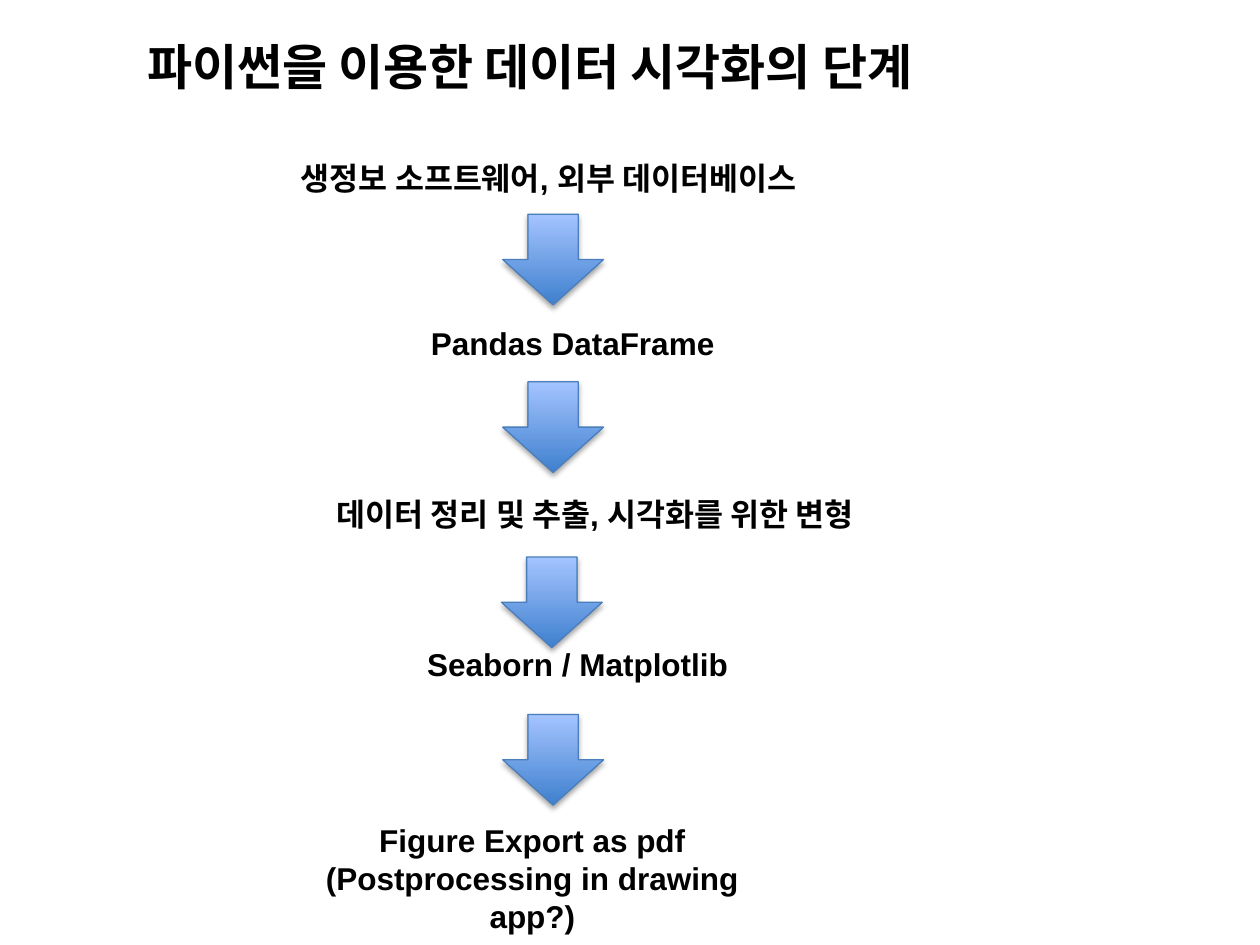
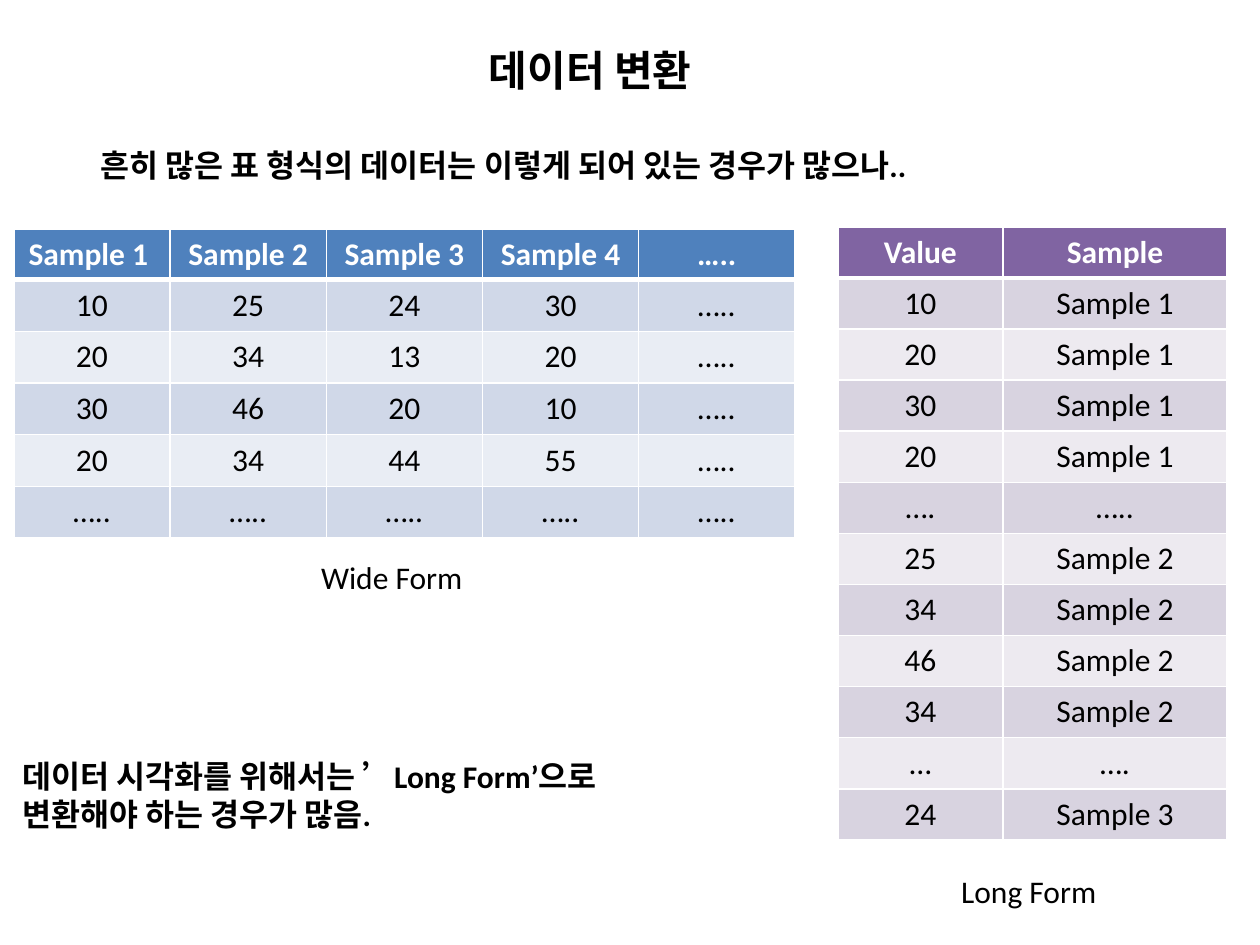
import lxml.etree
import pptx
import pptx.dml.color
import pptx.enum.shapes
import pptx.enum.text
import pptx.oxml.ns
import pptx.util

Inches = pptx.util.Inches
Pt = pptx.util.Pt
RGBColor = pptx.dml.color.RGBColor
ALIGN = pptx.enum.text.PP_ALIGN
qn = pptx.oxml.ns.qn

BLACK = RGBColor(0x00, 0x00, 0x00)
WHITE = RGBColor(0xFF, 0xFF, 0xFF)
ARROW_DARK = RGBColor(0x3F, 0x80, 0xCE)
ARROW_LIGHT = RGBColor(0xA4, 0xC4, 0xFF)
ARROW_LINE = RGBColor(0x4B, 0x7E, 0xBC)
# Header, odd row and even row fills
BLUE_ROWS = (RGBColor(0x4F, 0x81, 0xBD), RGBColor(0xD0, 0xD8, 0xE8), RGBColor(0xE9, 0xED, 0xF4))
PURPLE_ROWS = (RGBColor(0x80, 0x64, 0xA2), RGBColor(0xD8, 0xD3, 0xE0), RGBColor(0xED, 0xEA, 0xF0))


def write(tf, text, font="Calibri", size=18, color=BLACK, bold=False, align=ALIGN.LEFT):
    """Fill a text frame, one paragraph per line of text."""
    for i, line in enumerate(text.split("\n")):
        p = tf.paragraphs[0] if i == 0 else tf.add_paragraph()
        p.alignment = align
        r = p.add_run()
        r.text = line
        r.font.name = font
        r.font.size = Pt(size)
        r.font.color.rgb = color
        r.font.bold = bold


def add_border(cell, side, width):
    ln = lxml.etree.SubElement(cell._tc.get_or_add_tcPr(), qn(f"a:ln{side}"), w=str(Pt(width)))
    fill = lxml.etree.SubElement(ln, qn("a:solidFill"))
    lxml.etree.SubElement(fill, qn("a:srgbClr"), val=str(WHITE))


class Deck:
    def __init__(self, prs):
        self.prs = prs
        self.s = None
        self.font = None

    def new_slide(self, title, left, top, width, height, size, font):
        self.font = font
        self.s = self.prs.slides.add_slide(self.prs.slide_layouts[5])
        sp = self.s.shapes.title
        sp.left, sp.top, sp.width, sp.height = map(Inches, (left, top, width, height))
        self.fit_text(sp.text_frame, title, size=size, bold=True)

    def fit_text(self, tf, text, **fmt):
        tf.word_wrap = False
        tf.auto_size = pptx.enum.text.MSO_AUTO_SIZE.SHAPE_TO_FIT_TEXT
        tf.vertical_anchor = pptx.enum.text.MSO_ANCHOR.TOP
        write(tf, text, font=self.font, **fmt)

    def text(self, text, left, top, width, height=0.4, **fmt):
        sp = self.s.shapes.add_textbox(*map(Inches, (left, top, width, height)))
        self.fit_text(sp.text_frame, text, **fmt)

    def down_arrow(self, left, top):
        sp = self.s.shapes.add_shape(pptx.enum.shapes.MSO_SHAPE.DOWN_ARROW,
                                     *map(Inches, (left, top, 0.8, 0.72)))
        sp.fill.gradient()
        sp.fill.gradient_angle = 90
        for stop, color in zip(sp.fill.gradient_stops, (ARROW_DARK, ARROW_LIGHT)):
            stop.color.rgb = color
        sp.line.color.rgb = ARROW_LINE
        sp.line.width = Pt(0.75)
        sp.shadow.inherit = False
        effects = sp._element.spPr.find(qn("a:effectLst"))
        shadow = lxml.etree.SubElement(effects, qn("a:outerShdw"), blurRad=str(Pt(3.1)),
                                       dist=str(Pt(1.8)), dir="5400000", rotWithShape="0")
        color = lxml.etree.SubElement(shadow, qn("a:srgbClr"), val=str(BLACK))
        lxml.etree.SubElement(color, qn("a:alpha"), val="35000")

    def table(self, rows, left, top, col_widths, row_heights, fills):
        box = (left, top, sum(col_widths), sum(row_heights))
        table = self.s.shapes.add_table(len(rows), len(col_widths), *map(Inches, box)).table
        for col, width in zip(table.columns, col_widths):
            col.width = Inches(width)
        for i, (row, height) in enumerate(zip(rows, row_heights)):
            table.rows[i].height = Inches(height)
            header = i == 0
            fill = fills[0] if header else fills[2 - i % 2]
            widths = {"L": 1, "R": 1, "T": 3 if i == 1 else 1, "B": 3 if header else 1}
            for j, value in enumerate(row):
                cell = table.cell(i, j)
                for side, width in widths.items():
                    add_border(cell, side, width)
                cell.fill.solid()
                cell.fill.fore_color.rgb = fill
                write(cell.text_frame, value, font=self.font, bold=header,
                      color=WHITE if header else BLACK, align=ALIGN.CENTER)


def build_steps(deck):
    deck.new_slide("파이썬을 이용한 데이터 시각화의 단계", 1.07, 0.24, 7.03, 0.57, size=28, font="Arial")
    steps = [
        ("생정보 소프트웨어, 외부 데이터베이스", 2.06, 1.21, 4.59, 0.4),
        ("Pandas DataFrame", 3.31, 2.52, 2.47, 0.4),
        ("데이터 정리 및 추출, 시각화를 위한 변형", 2.29, 3.88, 4.87, 0.4),
        ("Seaborn / Matplotlib", 3.28, 5.07, 2.61, 0.4),
        ("Figure Export as pdf\n(Postprocessing in drawing app?)", 2.18, 6.47, 4.09, 0.71),
    ]
    for step in steps:
        deck.text(*step, bold=True, align=ALIGN.CENTER)
    for left, top in ((3.99, 1.7), (3.99, 3.03), (3.98, 4.42), (3.99, 5.67)):
        deck.down_arrow(left, top)


def build_forms(deck):
    deck.new_slide("데이터 변환", 3.78, 0.3, 2.04, 0.5, size=24, font="Calibri")
    deck.text("흔히 많은 표 형식의 데이터는 이렇게 되어 있는 경우가 많으나..", 0.7, 1.11, 7.16, bold=True)

    dots = "….."
    wide = [
        ["Sample 1 ", "Sample 2", "Sample 3", "Sample 4", dots],
        ["10", "25", "24", "30", dots],
        ["20", "34", "13", "20", dots],
        ["30", "46", "20", "10", dots],
        ["20", "34", "44", "55", dots],
        [dots] * 5,
    ]
    deck.table(wide, 0.11, 1.82, [1.24] * 5, [0.39] + [0.41] * 5, BLUE_ROWS)

    long = [("Value", "Sample")]
    long += [(value, "Sample 1") for value in ("10", "20", "30", "20")]
    long += [("….", dots)]
    long += [(value, "Sample 2") for value in ("25", "34", "46", "34")]
    long += [("…", "…."), ("24", "Sample 3")]
    deck.table(long, 6.65, 1.8, [1.31, 1.78], [4.87 / len(long)] * len(long), PURPLE_ROWS)

    deck.text("Long Form", 7.53, 6.87, 1.29)
    deck.text("Wide Form", 2.45, 4.38, 1.34)
    deck.text("데이터 시각화를 위해서는 ’Long Form’으로\n변환해야 하는 경우가 많음.",
              0.08, 5.96, 4.92, 0.71, bold=True)


def main():
    prs = pptx.Presentation()
    prs.slide_width = Inches(10)
    prs.slide_height = Inches(7.5)
    deck = Deck(prs)
    build_steps(deck)
    build_forms(deck)
    prs.save("out.pptx")


if __name__ == "__main__":
    main()
